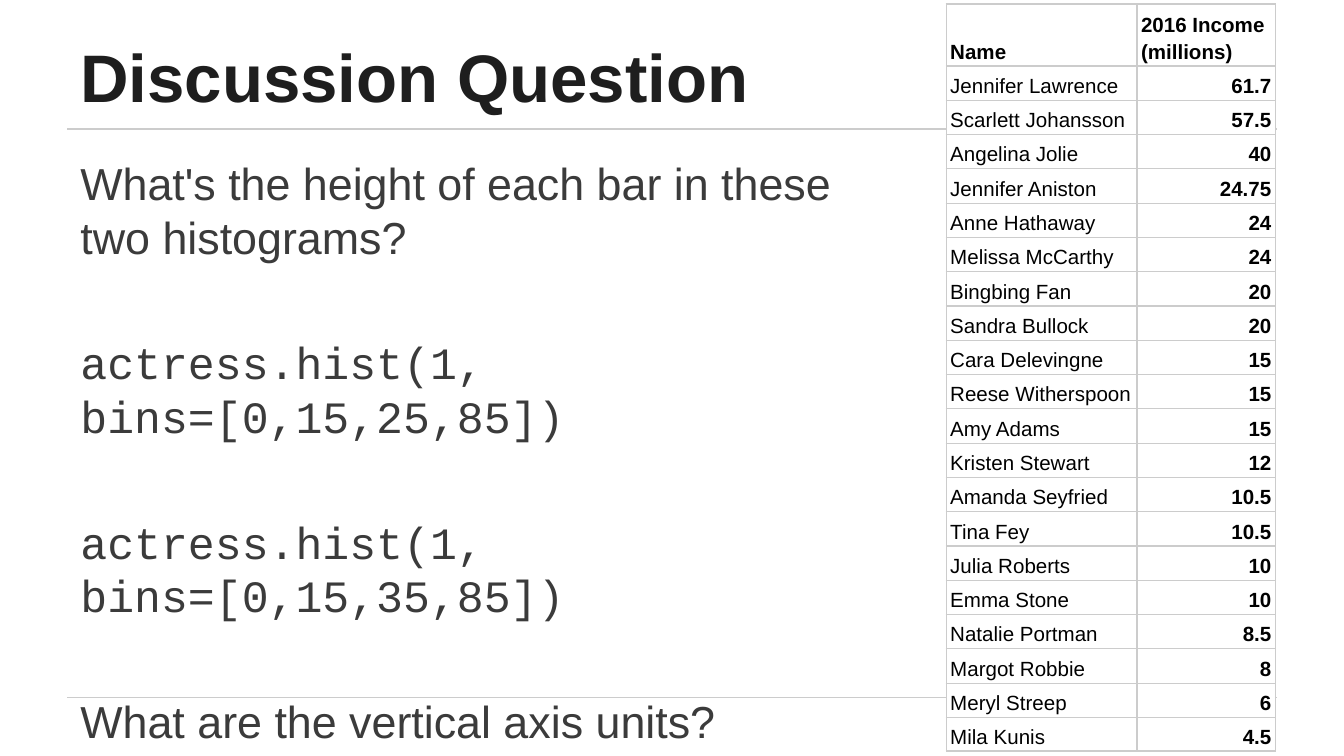
from lxml import etree
from pptx import Presentation
from pptx.dml.color import RGBColor
from pptx.enum.shapes import MSO_CONNECTOR
from pptx.enum.text import MSO_ANCHOR, PP_ALIGN
from pptx.oxml.ns import qn
from pptx.util import Inches, Pt

STRAIGHT = MSO_CONNECTOR.STRAIGHT
TOP, BOTTOM = MSO_ANCHOR.TOP, MSO_ANCHOR.BOTTOM
LEFT, RIGHT = PP_ALIGN.LEFT, PP_ALIGN.RIGHT

SANS, MONO = "Arial", "Courier New"
RULE_GRAY, TITLE_INK, BODY_INK = "CCCCCC", "1E1E1E", "3B3B3B"

TITLE = "Discussion Question"
# text, font, space before in points
BODY = [
    ("What's the height of each bar in these \vtwo histograms?", SANS, 4.8),
    ("actress.hist(1, bins=[0,15,25,85])", MONO, 38.4),
    ("actress.hist(1, bins=[0,15,35,85])", MONO, 38.4),
    ("What are the vertical axis units?", SANS, 38.4),
]
HEADER = ("Name", "2016 Income (millions)")
INCOMES = [
    ("Jennifer Lawrence", "61.7"),
    ("Scarlett Johansson", "57.5"),
    ("Angelina Jolie", "40"),
    ("Jennifer Aniston", "24.75"),
    ("Anne Hathaway", "24"),
    ("Melissa McCarthy", "24"),
    ("Bingbing Fan", "20"),
    ("Sandra Bullock", "20"),
    ("Cara Delevingne", "15"),
    ("Reese Witherspoon", "15"),
    ("Amy Adams", "15"),
    ("Kristen Stewart", "12"),
    ("Amanda Seyfried", "10.5"),
    ("Tina Fey", "10.5"),
    ("Julia Roberts", "10"),
    ("Emma Stone", "10"),
    ("Natalie Portman", "8.5"),
    ("Margot Robbie", "8"),
    ("Meryl Streep", "6"),
    ("Mila Kunis", "4.5"),
]
COLUMN_WIDTHS = (1.42, 1.03)
ROWS_HEIGHT, LAST_HEIGHT = 5.11, 0.11


def color(hex_value):
    return RGBColor.from_string(hex_value)


def write(para, text, *, size, ink, font=SANS, bold=False, align=LEFT,
          before=0, spacing=1.0):
    para.text = text
    para.alignment = align
    para.space_before = Pt(before)
    para.line_spacing = spacing
    for span in para.runs:
        span.font.name = font
        span.font.size = Pt(size)
        span.font.bold = bold
        span.font.color.rgb = color(ink)


def add_text_frame(page, left, top, width, height, anchor):
    box = page.shapes.add_textbox(*map(Inches, (left, top, width, height)))
    frame = box.text_frame
    frame.word_wrap = True
    frame.vertical_anchor = anchor
    frame.margin_left = frame.margin_right = Inches(0.1)
    frame.margin_top = frame.margin_bottom = Inches(0.1)
    return frame


def add_rule(page, y):
    rule = page.shapes.add_connector(
        STRAIGHT, Inches(0.5), Inches(y), Inches(9.5), Inches(y))
    rule.line.color.rgb = color(RULE_GRAY)
    rule.line.width = Pt(0.75)
    etree.SubElement(rule._element.spPr, qn("a:effectLst"))


def add_borders(cell):
    properties = cell._tc.get_or_add_tcPr()
    for index, side in enumerate(("a:lnL", "a:lnR", "a:lnT", "a:lnB")):
        line = etree.Element(qn(side), w=str(Pt(0.75)))
        fill = etree.SubElement(line, qn("a:solidFill"))
        etree.SubElement(fill, qn("a:srgbClr"), val=RULE_GRAY)
        properties.insert(index, line)


def add_income_table(page):
    rows = [HEADER] + INCOMES
    heights = [ROWS_HEIGHT / len(INCOMES)] * len(INCOMES) + [LAST_HEIGHT]
    table = page.shapes.add_table(
        len(rows), len(HEADER), Inches(7.04), Inches(0.03),
        Inches(sum(COLUMN_WIDTHS)), Inches(sum(heights))).table
    table.first_row = table.horz_banding = False
    for column, width in zip(table.columns, COLUMN_WIDTHS):
        column.width = Inches(width)
    for r, (values, height) in enumerate(zip(rows, heights)):
        table.rows[r].height = Inches(height)
        for c, value in enumerate(values):
            cell = table.cell(r, c)
            cell.fill.solid()
            cell.fill.fore_color.rgb = color("FFFFFF")
            cell.vertical_anchor = BOTTOM
            cell.margin_left = cell.margin_right = Inches(0.03)
            cell.margin_top = cell.margin_bottom = Inches(0.02)
            write(cell.text_frame.paragraphs[0], value, size=11, ink="000000",
                  bold=r == 0 or c == 1, spacing=1.15,
                  align=RIGHT if r and c else LEFT)
            add_borders(cell)


def main():
    deck = Presentation()
    deck.slide_width = Inches(10)
    deck.slide_height = deck.slide_width * 9 // 16
    page = deck.slides.add_slide(deck.slide_layouts[6])

    for y in (0.96, 5.19):
        add_rule(page, y)

    title = add_text_frame(page, 0.5, 0.23, 7.33, 0.73, BOTTOM)
    write(title.paragraphs[0], TITLE, size=36, ink=TITLE_INK, bold=True)

    body = add_text_frame(page, 0.5, 1.06, 6.45, 3.96, TOP)
    for index, (text, font, before) in enumerate(BODY):
        para = body.add_paragraph() if index else body.paragraphs[0]
        write(para, text, size=24, ink=BODY_INK, font=font, before=before)

    add_income_table(page)
    deck.save("out.pptx")


if __name__ == "__main__":
    main()
